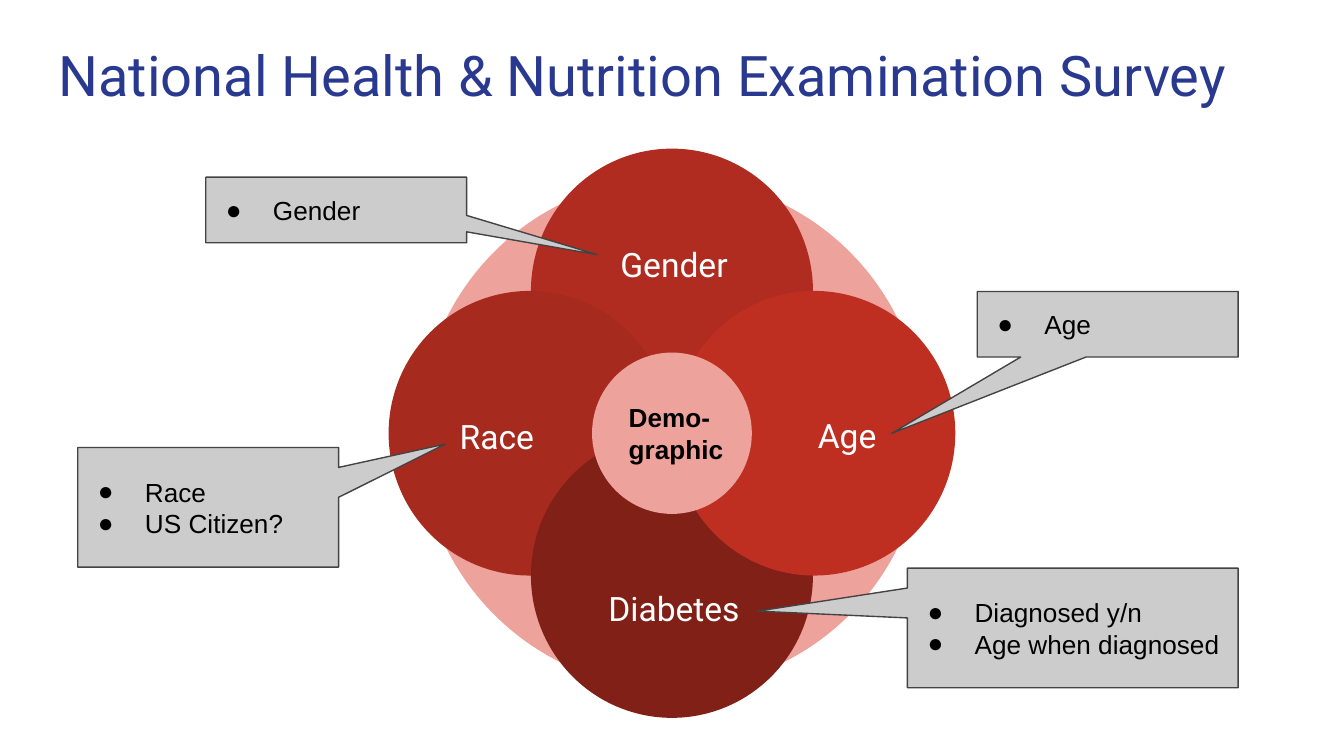
import pptx
import pptx.dml.color
import pptx.enum.shapes
import pptx.enum.text
import pptx.oxml.ns
import pptx.util
import lxml.etree

Cm = pptx.util.Cm
Pt = pptx.util.Pt
MSO_SHAPE = pptx.enum.shapes.MSO_SHAPE
MSO_ANCHOR = pptx.enum.text.MSO_ANCHOR
PP_ALIGN = pptx.enum.text.PP_ALIGN

COLOURS = {
    "title": "2A3990",
    "pale": "EDA29B",
    "gender": "B02C20",
    "race": "A72A1E",
    "diabetes": "802017",
    "age": "BE2F22",
    "callout": "CCCCCC",
    "outline": "434343",
    "black": "000000",
    "white": "FFFFFF",
}

CENTRE_X, CENTRE_Y = 12.70, 8.19
PETAL_STEP = 2.69
PETAL_SIZE = (5.33, 5.38)
LABEL_SIZE = (3.68, 1.75)

PETALS = [
    ("Gender", "gender", (0, -1), (12.74, 4.99)),
    ("Race", "race", (-1, 0), (9.39, 8.24)),
    ("Diabetes", "diabetes", (0, 1), (12.74, 11.49)),
    ("Age", "age", (1, 0), (16.01, 8.22)),
]

CALLOUTS = [
    (["Gender"], (3.89, 3.35, 4.93, 1.24), (1.002, 0.683)),
    (["Age"], (18.47, 5.51, 4.93, 1.24), (-0.829, 1.665)),
    (["Diagnosed y/n", "Age when diagnosed"], (17.15, 10.74, 6.25, 2.26), (-0.954, -0.14)),
    (["Race", "US Citizen?"], (1.47, 8.46, 4.93, 2.26), (0.91, -0.53)),
]

FRAME_FORMAT = {
    "word_wrap": True,
    "margin_left": Cm(0.25),
    "margin_right": Cm(0.25),
    "margin_top": Cm(0.25),
    "margin_bottom": Cm(0.25),
    "vertical_anchor": MSO_ANCHOR.MIDDLE,
}
TITLE_FONT = {"name": "Roboto", "size": Pt(30)}
LABEL_FONT = {"name": "Roboto", "size": Pt(18)}
BODY_FONT = {"name": "Arial", "size": Pt(14)}


def rgb(colour):
    return pptx.dml.color.RGBColor.from_string(COLOURS[colour])


def apply_format(target, values):
    for name, value in values.items():
        setattr(target, name, value)


def centred_box(x, y, size):
    width, height = size
    return x - width / 2, y - height / 2, width, height


def write_text(shape, lines, font, colour, align=PP_ALIGN.LEFT, **frame_changes):
    frame = shape.text_frame
    apply_format(frame, {**FRAME_FORMAT, **frame_changes})
    for index, line in enumerate(lines):
        paragraph = frame.add_paragraph() if index else frame.paragraphs[0]
        paragraph.alignment = align
        run = paragraph.add_run()
        run.text = line
        apply_format(run.font, font)
        run.font.color.rgb = rgb(colour)


def add_text(shapes, box, lines, font, colour, **options):
    textbox = shapes.add_textbox(*map(Cm, box))
    write_text(textbox, lines, font, colour, **options)


def add_filled(shapes, kind, box, colour):
    shape = shapes.add_shape(kind, *map(Cm, box))
    shape.shadow.inherit = False
    shape.fill.solid()
    shape.fill.fore_color.rgb = rgb(colour)
    shape.line.fill.background()
    return shape


def add_circle(shapes, x, y, size, colour):
    return add_filled(shapes, MSO_SHAPE.OVAL, centred_box(x, y, size), colour)


def add_petal(slide, label, colour, direction, label_centre):
    group = slide.shapes.add_group_shape()
    x = CENTRE_X + direction[0] * PETAL_STEP
    y = CENTRE_Y + direction[1] * PETAL_STEP
    add_circle(group.shapes, x, y, PETAL_SIZE, colour)
    add_text(group.shapes, centred_box(*label_centre, LABEL_SIZE), [label],
             LABEL_FONT, "white", align=PP_ALIGN.CENTER)


def add_bullet(paragraph):
    qn = pptx.oxml.ns.qn
    properties = paragraph._p.get_or_add_pPr()
    properties.set("marL", str(Cm(1.02)))
    properties.set("indent", str(Cm(-0.89)))
    bullet_colour = lxml.etree.SubElement(properties, qn("a:buClr"))
    lxml.etree.SubElement(bullet_colour, qn("a:srgbClr"), val=COLOURS["black"])
    lxml.etree.SubElement(properties, qn("a:buFont"), typeface="Arial")
    lxml.etree.SubElement(properties, qn("a:buChar"), char="●")


def add_callout(slide, lines, box, tip):
    callout = add_filled(slide.shapes, MSO_SHAPE.RECTANGULAR_CALLOUT, box, "callout")
    callout.adjustments[0], callout.adjustments[1] = tip
    callout.line.color.rgb = rgb("outline")
    callout.line.width = Pt(0.75)
    write_text(callout, lines, BODY_FONT, "black")
    for paragraph in callout.text_frame.paragraphs:
        add_bullet(paragraph)


def main():
    presentation = pptx.Presentation()
    apply_format(presentation, {"slide_width": Cm(25.4), "slide_height": Cm(14.29)})
    slide = presentation.slides.add_slide(presentation.slide_layouts[6])

    add_circle(slide.shapes, CENTRE_X, CENTRE_Y, (9.55, 9.65), "pale")
    for petal in PETALS:
        add_petal(slide, *petal)
    hub = add_circle(slide.shapes, CENTRE_X, CENTRE_Y, (3.02, 3.05), "pale")
    write_text(hub, ["Demo-", "graphic"], {**BODY_FONT, "bold": True}, "black", margin_right=0)

    for callout in CALLOUTS:
        add_callout(slide, *callout)
    add_text(slide.shapes, (0.86, 0.51, 23.67, 1.68),
             ["National Health & Nutrition Examination Survey"],
             TITLE_FONT, "title", vertical_anchor=MSO_ANCHOR.TOP)

    presentation.save("out.pptx")


if __name__ == "__main__":
    main()
